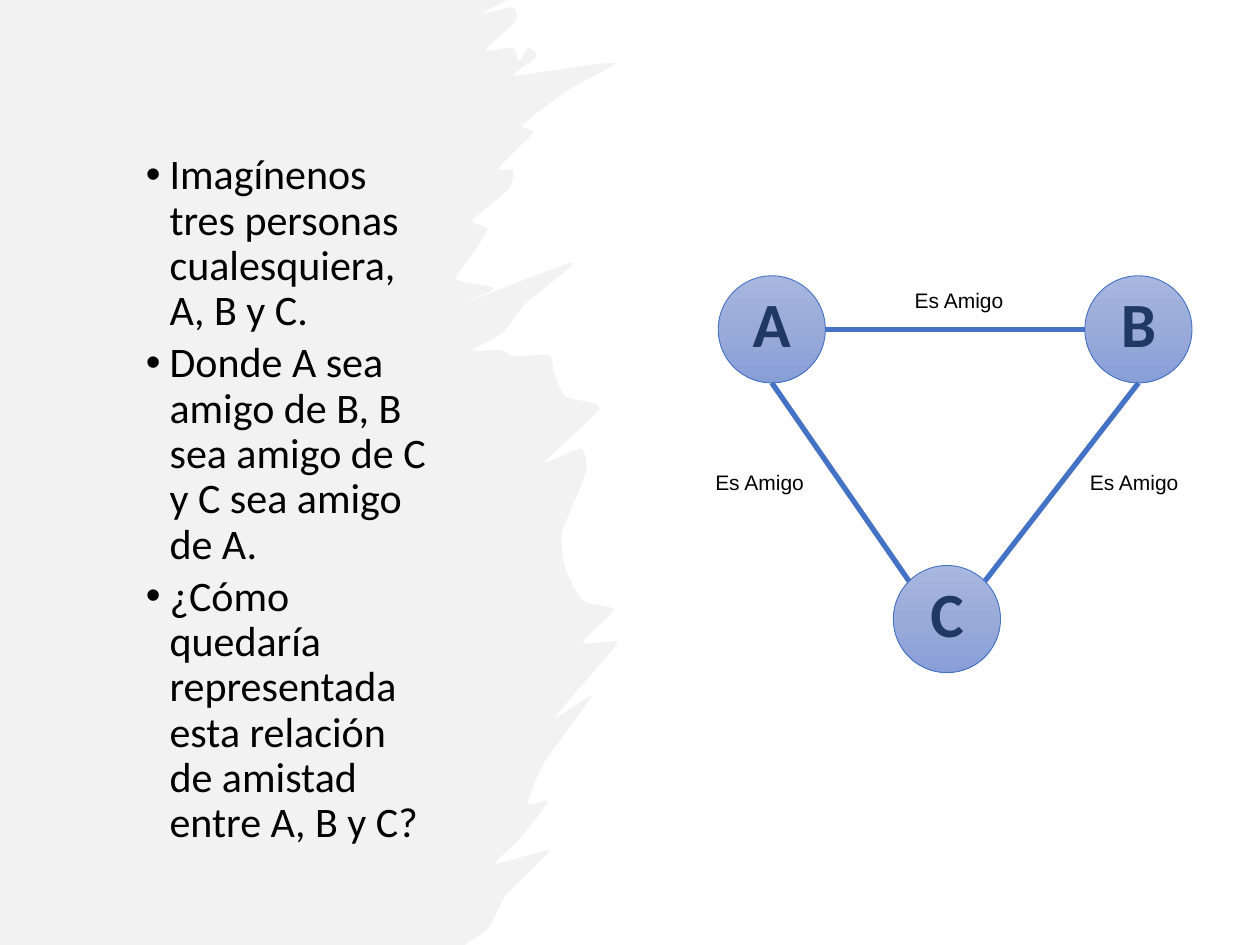
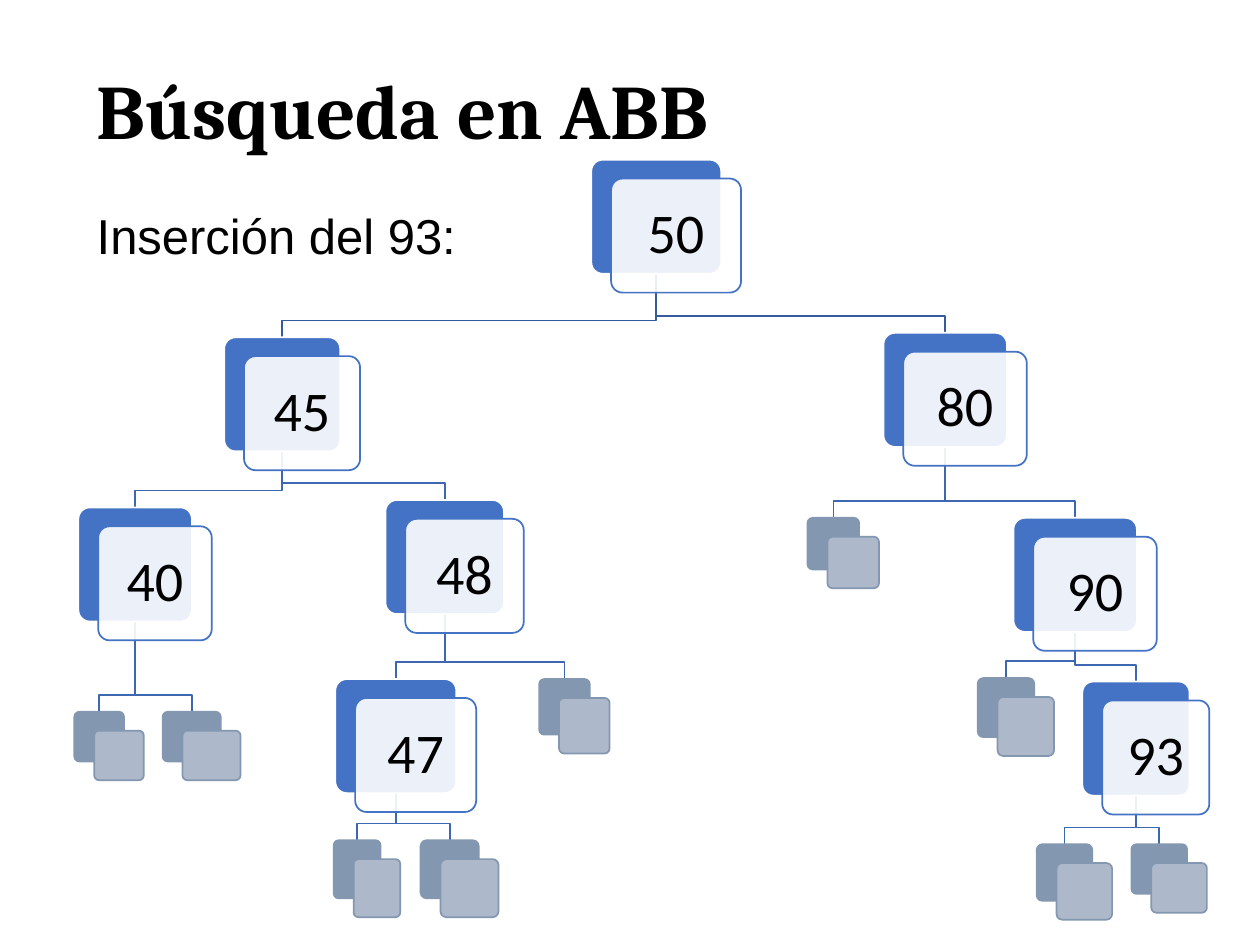
from copy import deepcopy
from dataclasses import dataclass
from math import cos, radians, sin
from typing import Any, Iterable, Optional

from lxml import etree
from pptx import Presentation
from pptx import util as u
from pptx.dml.color import RGBColor
from pptx.enum import shapes, text
from pptx.oxml import ns

Cm, Pt = u.Cm, u.Pt

COLORS = {
    "black": "000000", "white": "FFFFFF", "brush": "E7E6E6",
    "blue": "4472C4", "navy": "203864", "root_branch": "365B9D",
    "branch": "3E67B2", "leaf_back": "8497B0", "leaf_front": "ADB9CA",
}
PERSON_GRADIENT = ("A8B7DF", "9AABD9", "889ED7")

TITLE = {"name": "Cambria", "size": Pt(44), "bold": True}
BODY = {"name": "Calibri", "size": Pt(24)}
SUBTITLE = {"name": "Arial", "size": Pt(28)}
RELATION = {"name": "Arial", "size": Pt(12)}
PERSON = {"name": "Calibri", "size": Pt(36), "bold": True}
KEY = {"name": "Calibri", "size": Pt(32)}

CENTERED = {"alignment": text.PP_ALIGN.CENTER, "line_spacing": 0.9}
MIDDLE = {"vertical_anchor": text.MSO_ANCHOR.MIDDLE, "word_wrap": True}
WRAPPED = {"word_wrap": True}
UNWRAPPED = {"word_wrap": False}

INTRODUCTION = (
    "Imagínenos tres personas cualesquiera, A, B y C.",
    "Donde A sea amigo de B, B sea amigo de C y C sea amigo de A.",
    "¿Cómo quedaría representada esta relación de amistad entre A, B y C?",
)

BRUSH_UNIT = Cm(2.54) / 100
BRUSH_STEPS = 5
BRUSH_TENSION = 0.3
BRUSH_EDGE = (
    (369, 750), (388, 736), (401, 711), (417, 695), (436, 675), (408, 682), (393, 685),
    (414, 664), (435, 636), (419, 638), (432, 605), (470, 552), (440, 570), (485, 517),
    (489, 509), (462, 510), (487, 484), (463, 477), (449, 452), (446, 423), (465, 375),
    (461, 356), (432, 367), (476, 324), (449, 315), (440, 297), (436, 282), (409, 283),
    (397, 278), (375, 278), (398, 265), (417, 241), (455, 208), (363, 243), (392, 229),
    (362, 222), (374, 203), (387, 182), (375, 175), (404, 150), (407, 135), (395, 134),
    (419, 110), (423, 104), (415, 99), (450, 72), (489, 50), (438, 56), (407, 60),
    (426, 45), (419, 38), (412, 49), (407, 38), (385, 40), (409, 17), (407, 6),
    (382, 11), (403, 0),
)


@dataclass(frozen=True)
class Box:
    left: float
    top: float
    width: float
    height: float

    def emu(self) -> tuple:
        return tuple(Cm(v) for v in (self.left, self.top, self.width, self.height))


@dataclass(frozen=True)
class Friendship:
    first: str
    first_angle: int
    second: str
    second_angle: int
    label_left: float
    label_top: float


@dataclass(frozen=True)
class Node:
    box: Box
    key: str = ""
    children: tuple = ()


PERSON_SIZE = 2.16
PEOPLE = {
    name: Box(left, top, PERSON_SIZE, PERSON_SIZE)
    for name, left, top in (("A", 14.48, 5.56), ("B", 21.87, 5.56), ("C", 18.01, 11.4))
}
FRIENDSHIPS = (
    Friendship("A", 0, "B", 180, 18.19, 5.72),
    Friendship("B", 90, "C", 315, 21.72, 9.4),
    Friendship("A", 90, "C", 225, 14.17, 9.4),
)

KEY_HEIGHT = 2.3
FRONT_SHIFT = (0.4, 0.38)
ELBOW_GAP = 0.34


def keyed(key: str, left: float, top: float, width: float, *children: Node) -> Node:
    return Node(Box(left, top, width, KEY_HEIGHT), key, children)


def leaf(left: float, top: float, width: float, height: float) -> Node:
    return Node(Box(left, top, width, height))


SEARCH_TREE = keyed(
    "50", 11.92, 3.22, 2.62,
    keyed("45", 4.52, 6.8, 2.34,
          keyed("40", 1.58, 10.23, 2.29, leaf(1.5, 14.35, 1, 1), leaf(3.28, 14.35, 1.17, 1)),
          keyed("48", 7.77, 10.08, 2.39,
                keyed("47", 6.76, 13.69, 2.44,
                      leaf(6.73, 16.94, 0.94, 1.17), leaf(8.48, 16.94, 1.17, 1.17)),
                leaf(10.87, 13.69, 1.02, 1.12))),
    keyed("80", 17.81, 6.71, 2.49,
          leaf(16.28, 10.44, 1.04, 1.04),
          keyed("90", 20.43, 10.44, 2.49,
                leaf(19.71, 13.67, 1.14, 1.19),
                keyed("93", 21.82, 13.74, 2.16,
                      leaf(20.9, 17.02, 1.12, 1.14), leaf(22.81, 17.02, 1.12, 1)))),
)


def apply(target: Any, formats: dict) -> None:
    for name, value in formats.items():
        setattr(target, name, value)


def rgb(color: str) -> RGBColor:
    return RGBColor.from_string(COLORS[color])


def paint(shape: Any, fill: str, line: Optional[str] = None, opacity: int = 100) -> None:
    shape.shadow.inherit = False
    shape.fill.solid()
    shape.fill.fore_color.rgb = rgb(fill)
    if opacity < 100:
        tint = shape._element.spPr.find(".//" + ns.qn("a:srgbClr"))
        etree.SubElement(tint, ns.qn("a:alpha"), val=str(opacity * 1000))
    if line:
        outline(shape, line, 1)
    else:
        shape.line.fill.background()


def outline(shape: Any, color: str, width: float) -> None:
    shape.line.color.rgb = rgb(color)
    shape.line.width = Pt(width)


def write(paragraph: Any, words: str, font: dict, layout: dict, color: str = "black") -> None:
    apply(paragraph, layout)
    run = paragraph.add_run()
    run.text = words
    apply(run.font, font)
    run.font.color.rgb = rgb(color)


def caption(slide: Any, box: Box, words: str, font: dict, frame: dict, layout: dict) -> None:
    holder = slide.shapes.add_textbox(*box.emu()).text_frame
    apply(holder, frame)
    write(holder.paragraphs[0], words, font, layout)


def bullet(paragraph: Any) -> None:
    props = paragraph._p.get_or_add_pPr()
    props.set("marL", str(Cm(1.42)))
    props.set("indent", str(-Cm(0.48)))
    etree.SubElement(props, ns.qn("a:buFont"), typeface="Arial")
    etree.SubElement(props, ns.qn("a:buChar"), char="•")


def bullets(slide: Any, box: Box, sentences: Iterable[str]) -> None:
    frame = slide.shapes.add_textbox(*box.emu()).text_frame
    apply(frame, WRAPPED)
    for index, sentence in enumerate(sentences):
        paragraph = frame.add_paragraph() if index else frame.paragraphs[0]
        bullet(paragraph)
        write(paragraph, sentence, BODY,
              {"line_spacing": 0.9, "space_before": Pt(3.8 if index else 0)})


def smooth(before: float, start: float, end: float, after: float, t: float) -> float:
    leave = start + BRUSH_TENSION * (end - before) / 3
    arrive = end - BRUSH_TENSION * (after - start) / 3
    return ((1 - t) ** 3 * start + 3 * t * (1 - t) ** 2 * leave
            + 3 * t * t * (1 - t) * arrive + t ** 3 * end)


def brush_points() -> list:
    padded = (BRUSH_EDGE[0], *BRUSH_EDGE, BRUSH_EDGE[-1])
    points = [BRUSH_EDGE[0]]
    for stretch in zip(padded, padded[1:], padded[2:], padded[3:]):
        xs, ys = zip(*stretch)
        for step in range(1, BRUSH_STEPS + 1):
            t = step / BRUSH_STEPS
            points.append((smooth(*xs, t), smooth(*ys, t)))
    return [(x * BRUSH_UNIT, y * BRUSH_UNIT) for x, y in points]


def draw_brush(slide: Any) -> None:
    builder = slide.shapes.build_freeform(0, 0)
    builder.add_line_segments([(0, Cm(19.05)), *brush_points()], close=True)
    paint(builder.convert_to_shape(), "brush", opacity=50)


def draw_person(slide: Any, name: str, box: Box) -> None:
    circle = slide.shapes.add_shape(shapes.MSO_SHAPE.OVAL, *box.emu())
    circle.shadow.inherit = False
    circle.fill.gradient()
    circle.fill.gradient_angle = 270
    stop_list = circle._element.spPr.find(".//" + ns.qn("a:gsLst"))
    stop_list.insert(1, deepcopy(stop_list[0]))
    for index, (stop, color) in enumerate(zip(circle.fill.gradient_stops, PERSON_GRADIENT)):
        stop.position = index / 2
        stop.color.rgb = RGBColor.from_string(color)
    outline(circle, "blue", 0.5)
    apply(circle.text_frame, MIDDLE)
    write(circle.text_frame.paragraphs[0], name, PERSON,
          {**CENTERED, "line_spacing": 0.8, "space_after": Pt(6)}, "navy")


def rim(name: str, angle: int) -> tuple:
    box, radius = PEOPLE[name], PERSON_SIZE / 2
    return (Cm(box.left + radius * (1 + cos(radians(angle)))),
            Cm(box.top + radius * (1 + sin(radians(angle)))))


def draw_friendship(slide: Any, bond: Friendship) -> None:
    link = slide.shapes.add_connector(
        shapes.MSO_CONNECTOR.STRAIGHT,
        *rim(bond.first, bond.first_angle), *rim(bond.second, bond.second_angle))
    outline(link, "blue", 3)
    etree.SubElement(link._element.spPr, ns.qn("a:effectLst"))
    caption(slide, Box(bond.label_left, bond.label_top, 2.34, 0.74), "Es Amigo",
            RELATION, UNWRAPPED, {"line_spacing": 0.9, "space_after": Pt(6)})


def draw_branches(slide: Any, parent: Node, color: str) -> None:
    start_x = parent.box.left + parent.box.width / 2
    start_y = parent.box.top + parent.box.height
    for child in parent.children:
        end_x, end_y = child.box.left + child.box.width / 2, child.box.top
        elbow_y = end_y - ELBOW_GAP
        builder = slide.shapes.build_freeform(Cm(start_x), Cm(start_y))
        builder.add_line_segments(
            [(Cm(x), Cm(y)) for x, y in
             ((start_x, elbow_y), (end_x, elbow_y), (end_x, end_y))], close=False)
        branch = builder.convert_to_shape()
        branch.shadow.inherit = False
        branch.fill.background()
        outline(branch, color, 1)
        draw_branches(slide, child, "branch")


def draw_plate(slide: Any, box: Box, fill: str, line: str, opacity: int = 100) -> Any:
    plate = slide.shapes.add_shape(shapes.MSO_SHAPE.ROUNDED_RECTANGLE, *box.emu())
    plate.adjustments[0] = 0.1
    paint(plate, fill, line, opacity)
    return plate


def draw_node(slide: Any, node: Node) -> None:
    back = node.box
    front = Box(back.left + FRONT_SHIFT[0], back.top + FRONT_SHIFT[1], back.width, back.height)
    if node.key:
        draw_plate(slide, back, "blue", "white")
        plate = draw_plate(slide, front, "white", "blue", 90)
        apply(plate.text_frame, MIDDLE)
        write(plate.text_frame.paragraphs[0], node.key, KEY, CENTERED)
    else:
        draw_plate(slide, back, "leaf_back", "leaf_back")
        draw_plate(slide, front, "leaf_front", "leaf_back")
    for child in node.children:
        draw_node(slide, child)


def friends_slide(slide: Any) -> None:
    draw_brush(slide)
    bullets(slide, Box(1.75, 2.97, 7.21, 14.2), INTRODUCTION)
    for name, box in PEOPLE.items():
        draw_person(slide, name, box)
    for bond in FRIENDSHIPS:
        draw_friendship(slide, bond)


def tree_slide(slide: Any) -> None:
    caption(slide, Box(1.7, 0.48, 21.9, 3.68), "Búsqueda en ABB", TITLE, MIDDLE,
            {"line_spacing": 0.9})
    draw_branches(slide, SEARCH_TREE, "root_branch")
    draw_node(slide, SEARCH_TREE)
    caption(slide, Box(1.7, 4.01, 7.85, 1.45), "Inserción del 93:", SUBTITLE, UNWRAPPED, {})


def main() -> None:
    deck = Presentation()
    deck.slide_width, deck.slide_height = Cm(25.4), Cm(19.05)
    for build in (friends_slide, tree_slide):
        build(deck.slides.add_slide(deck.slide_layouts[6]))
    deck.save("out.pptx")


if __name__ == "__main__":
    main()
